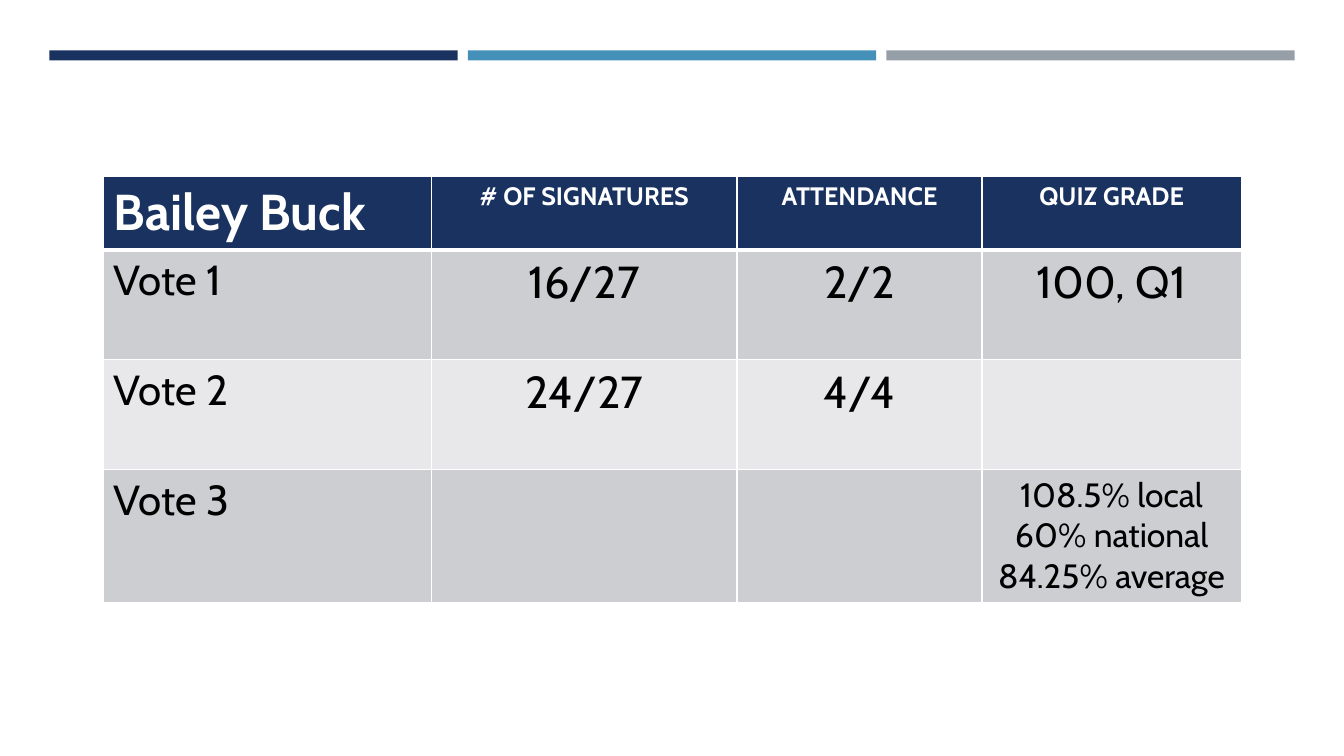
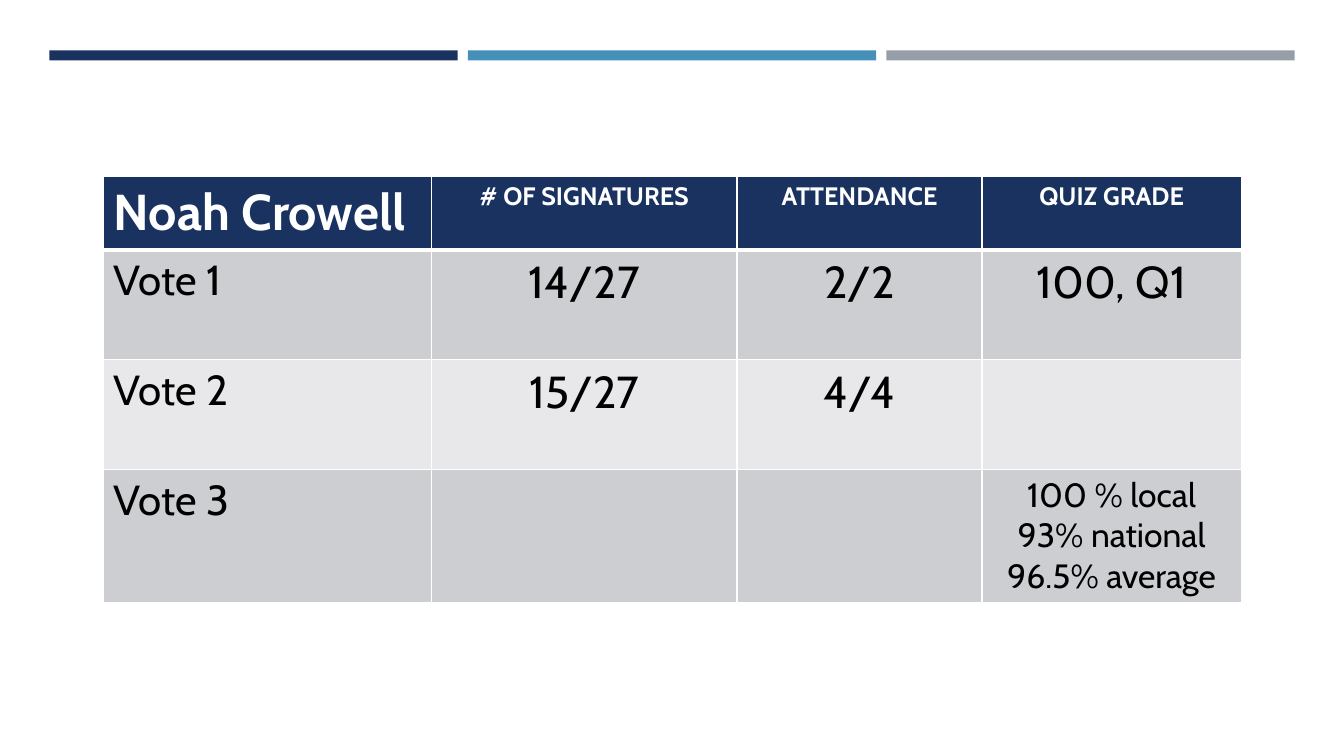
from lxml import etree
from pptx import Presentation
from pptx import util as u
from pptx.dml.color import RGBColor
from pptx.enum import shapes, text
from pptx.oxml.ns import qn

# Content
HEADINGS = ["# OF SIGNATURES", "ATTENDANCE", "QUIZ GRADE"]
CANDIDATES = [
    ("Bailey Buck", [
        ("Vote 1", "16/27", "2/2", "100, Q1"),
        ("Vote 2", "24/27", "4/4", ""),
        ("Vote 3", "", "", "108.5% local\n60% national\n84.25% average"),
    ]),
    ("Noah Crowell", [
        ("Vote 1", "14/27", "2/2", "100, Q1"),
        ("Vote 2", "15/27", "4/4", ""),
        ("Vote 3", "", "", "100 % local\n93% national\n96.5% average"),
    ]),
]

# Shared look
FONT = "Cabin"
NAVY, BLUE, GREY = "1A3260", "4590B8", "969FA7"
WHITE, BLACK = "FFFFFF", "000000"
ROW_FILLS = ["CDCED2", "E8E8EA"]
BAR_LEFT, BAR_TOP, BAR_W, BAR_H, BAR_GAP = 0.49, 0.5, 4.05, 0.1, 0.1
TABLE_LEFT, TABLE_TOP = 1.03, 1.75
COLS = [3.25, 3.03, 2.43, 2.57]
ROWS = [0.73, 1.09, 1.09, 1.31]


def rgb(value):
    return RGBColor.from_string(value)


def add_bars(s):
    for i, color in enumerate([NAVY, BLUE, GREY]):
        left = BAR_LEFT + i * (BAR_W + BAR_GAP)
        bar = s.shapes.add_shape(shapes.MSO_SHAPE.RECTANGLE,
                                 *map(u.Inches, (left, BAR_TOP, BAR_W, BAR_H)))
        bar.shadow.inherit = False
        bar.fill.solid()
        bar.fill.fore_color.rgb = rgb(color)
        bar.line.fill.background()


def set_borders(cell, widths):
    tc_pr = cell._tc.get_or_add_tcPr()
    for side, width in widths.items():
        ln = etree.SubElement(tc_pr, qn("a:ln" + side), w=str(u.Pt(width)))
        fill = etree.SubElement(ln, qn("a:solidFill"))
        etree.SubElement(fill, qn("a:srgbClr"), val=WHITE)


def text_size(row, col, value):
    if row == 0:
        return 18 if col else 36
    if col == 0:
        return 30
    return 24 if "\n" in value else 32


def fill_cell(cell, row, col, value):
    header = row == 0
    set_borders(cell, {"L": 1, "R": 1, "T": 3 if row == 1 else 1, "B": 3 if header else 1})
    cell.fill.solid()
    cell.fill.fore_color.rgb = rgb(NAVY if header else ROW_FILLS[(row - 1) % 2])
    cell.text = value
    style = {"name": FONT, "size": u.Pt(text_size(row, col, value)), "bold": header}
    for p in cell.text_frame.paragraphs:
        p.alignment = text.PP_ALIGN.CENTER if col else text.PP_ALIGN.LEFT
        for key, setting in style.items():
            setattr(p.font, key, setting)
        p.font.color.rgb = rgb(WHITE if header else BLACK)


def add_scores(s, name, votes):
    box = (TABLE_LEFT, TABLE_TOP, sum(COLS), sum(ROWS))
    table = s.shapes.add_table(len(ROWS), len(COLS), *map(u.Inches, box)).table
    for column, width in zip(table.columns, COLS):
        column.width = u.Inches(width)
    for line, height in zip(table.rows, ROWS):
        line.height = u.Inches(height)
    for row, values in enumerate([(name, *HEADINGS), *votes]):
        for col, value in enumerate(values):
            fill_cell(table.cell(row, col), row, col, value)


def main():
    prs = Presentation()
    prs.slide_width, prs.slide_height = u.Inches(13.33), u.Inches(7.5)
    for name, votes in CANDIDATES:
        s = prs.slides.add_slide(prs.slide_layouts[6])
        add_bars(s)
        add_scores(s, name, votes)
    prs.save("out.pptx")


if __name__ == "__main__":
    main()
